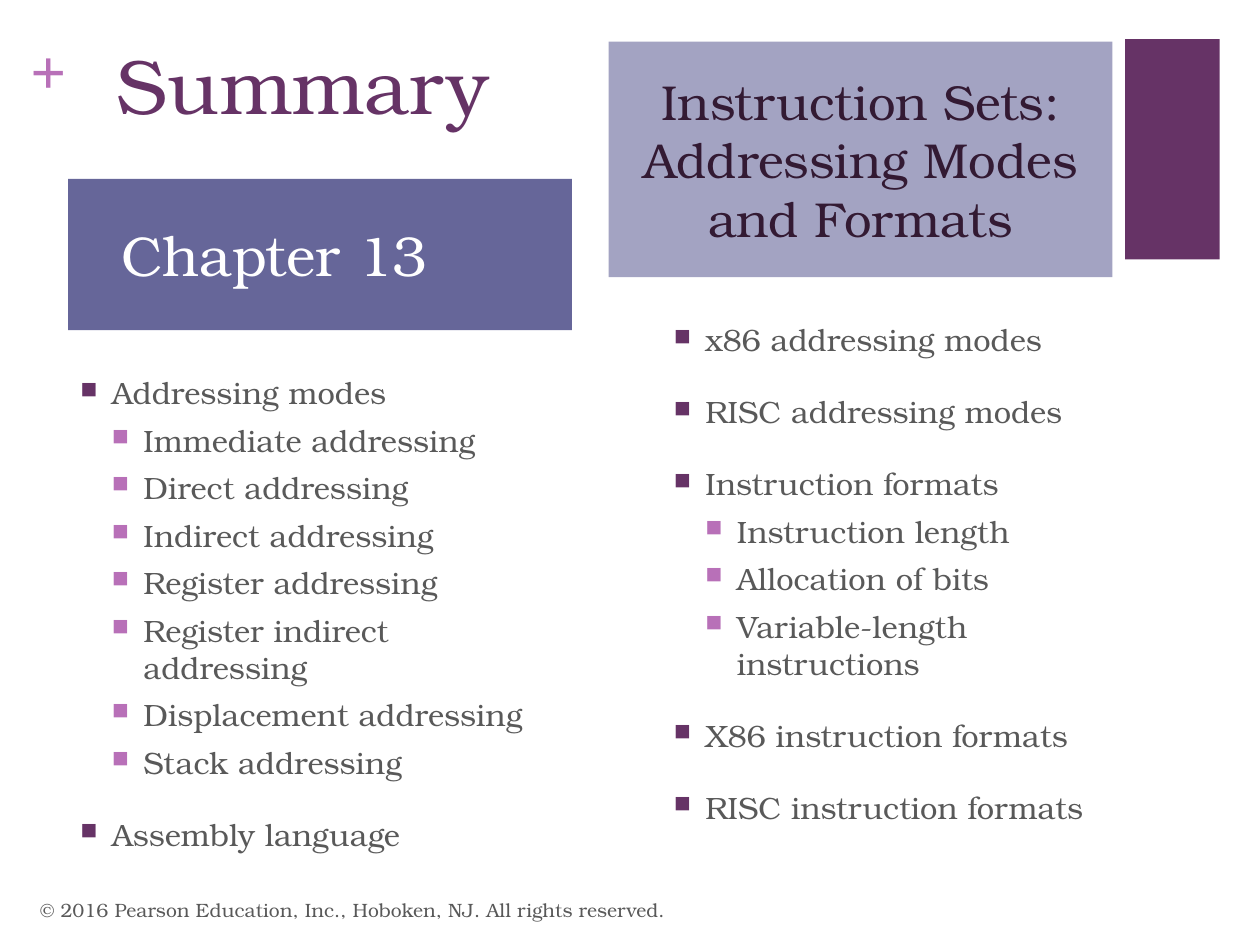
from dataclasses import dataclass

import lxml.etree
import pptx
import pptx.dml.color
import pptx.enum.shapes
import pptx.enum.text
import pptx.oxml.ns
import pptx.util

Inches = pptx.util.Inches
Pt = pptx.util.Pt
ALIGN = pptx.enum.text.PP_ALIGN
ANCHOR = pptx.enum.text.MSO_ANCHOR

TOPICS_LEFT = [
    (0, "Addressing modes"),
    (1, "Immediate addressing"),
    (1, "Direct addressing"),
    (1, "Indirect addressing"),
    (1, "Register addressing"),
    (1, "Register indirect addressing"),
    (1, "Displacement addressing"),
    (1, "Stack addressing"),
    (0, "Assembly language"),
]
TOPICS_RIGHT = [
    (0, "x86 addressing modes"),
    (0, "RISC addressing modes"),
    (0, "Instruction formats"),
    (1, "Instruction length"),
    (1, "Allocation of bits"),
    (1, "Variable-length instructions"),
    (0, "X86 instruction formats"),
    (0, "RISC instruction formats"),
]


@dataclass(frozen=True)
class Theme:
    font: str = "TeX Gyre Bonum"
    mark_font: str = "Times New Roman"
    plum: str = "663366"
    orchid: str = "B870B8"
    slate: str = "666699"
    lavender: str = "A3A3C2"
    dark: str = "331A33"
    grey: str = "595959"
    white: str = "FFFFFF"
    title_size: float = 44
    mark_size: float = 36
    chapter_size: float = 32
    subject_size: float = 28
    body_size: float = 17.6
    footer_size: float = 11
    bullet_colors: tuple = (plum, orchid)
    space_before: tuple = (20, 6)


class SlideBuilder:
    def __init__(self, deck, theme):
        self.theme = theme
        self.page = deck.slides.add_slide(deck.slide_layouts[6])

    def format(self, para, size, color, font=None, bold=False):
        for span in para.runs:
            span.font.name = font or self.theme.font
            span.font.size = Pt(size)
            span.font.bold = bold
            span.font.color.rgb = pptx.dml.color.RGBColor.from_string(color)

    def panel(self, area, fill):
        shape = self.page.shapes.add_shape(
            pptx.enum.shapes.MSO_SHAPE.RECTANGLE, *map(Inches, area))
        shape.shadow.inherit = False
        shape.fill.solid()
        shape.fill.fore_color.rgb = pptx.dml.color.RGBColor.from_string(fill)
        shape.line.fill.background()
        return shape

    def heading(self, area, fill, text, size, color, right_inset=0.1):
        """Add a filled panel with centred text."""
        frame = self.panel(area, fill).text_frame
        frame.word_wrap = True
        frame.vertical_anchor = ANCHOR.MIDDLE
        frame.margin_top = frame.margin_bottom = 0
        frame.margin_right = Inches(right_inset)
        frame.text = text
        frame.paragraphs[0].alignment = ALIGN.CENTER
        self.format(frame.paragraphs[0], size, color)

    def text_box(self, area):
        frame = self.page.shapes.add_textbox(*map(Inches, area)).text_frame
        frame.word_wrap = True
        return frame

    def label(self, area, text, size, color, anchor=ANCHOR.TOP, inset=True,
              font=None, bold=False):
        frame = self.text_box(area)
        frame.vertical_anchor = anchor
        if not inset:
            frame.margin_left = frame.margin_right = 0
            frame.margin_top = frame.margin_bottom = 0
        frame.text = text
        self.format(frame.paragraphs[0], size, color, font, bold)

    def bullet(self, para, level):
        """Add a square bullet with a hanging indent."""
        props = para._p.get_or_add_pPr()
        props.set("marL", str(Inches(0.25 * (level + 1))))
        props.set("indent", str(Inches(-0.25)))
        qn = pptx.oxml.ns.qn
        color = lxml.etree.SubElement(props, qn("a:buClr"))
        lxml.etree.SubElement(color, qn("a:srgbClr"), val=self.theme.bullet_colors[level])
        lxml.etree.SubElement(props, qn("a:buSzPct"), val="75000")
        lxml.etree.SubElement(props, qn("a:buChar"), char="■")

    def bullet_list(self, area, items):
        frame = self.text_box(area)
        frame.text = "\n".join(text for _, text in items)
        for index, (para, (level, _)) in enumerate(zip(frame.paragraphs, items)):
            para.level = level
            self.bullet(para, level)
            if index:
                para.space_before = Pt(self.theme.space_before[level])
            self.format(para, self.theme.body_size, self.theme.grey)


def main():
    deck = pptx.Presentation()
    deck.slide_width, deck.slide_height = Inches(10), Inches(7.5)
    theme = Theme()
    slide = SlideBuilder(deck, theme)

    slide.panel((8.93, 0.31, 0.75, 1.75), theme.plum)
    slide.label((0.24, 0.25, 0.29, 0.61), "+", theme.mark_size, theme.orchid,
                inset=False, font=theme.mark_font, bold=True)
    slide.label((0.83, 0.25, 4.45, 1.22), "Summary", theme.title_size, theme.plum)
    slide.bullet_list((0.54, 2.92, 4, 4.58), TOPICS_LEFT)
    slide.bullet_list((5.25, 2.5, 4, 4.5), TOPICS_RIGHT)
    slide.heading((0.54, 1.42, 4, 1.2), theme.slate, "Chapter 13",
                  theme.chapter_size, theme.white, right_inset=0.82)
    slide.heading((4.83, 0.33, 4, 1.87), theme.lavender,
                  "Instruction Sets: Addressing Modes and Formats",
                  theme.subject_size, theme.dark)
    slide.label((0.22, 7.02, 6.7, 0.4),
                "© 2016 Pearson Education, Inc., Hoboken, NJ. All rights reserved.",
                theme.footer_size, theme.grey, anchor=ANCHOR.MIDDLE)
    deck.save("out.pptx")


if __name__ == "__main__":
    main()
